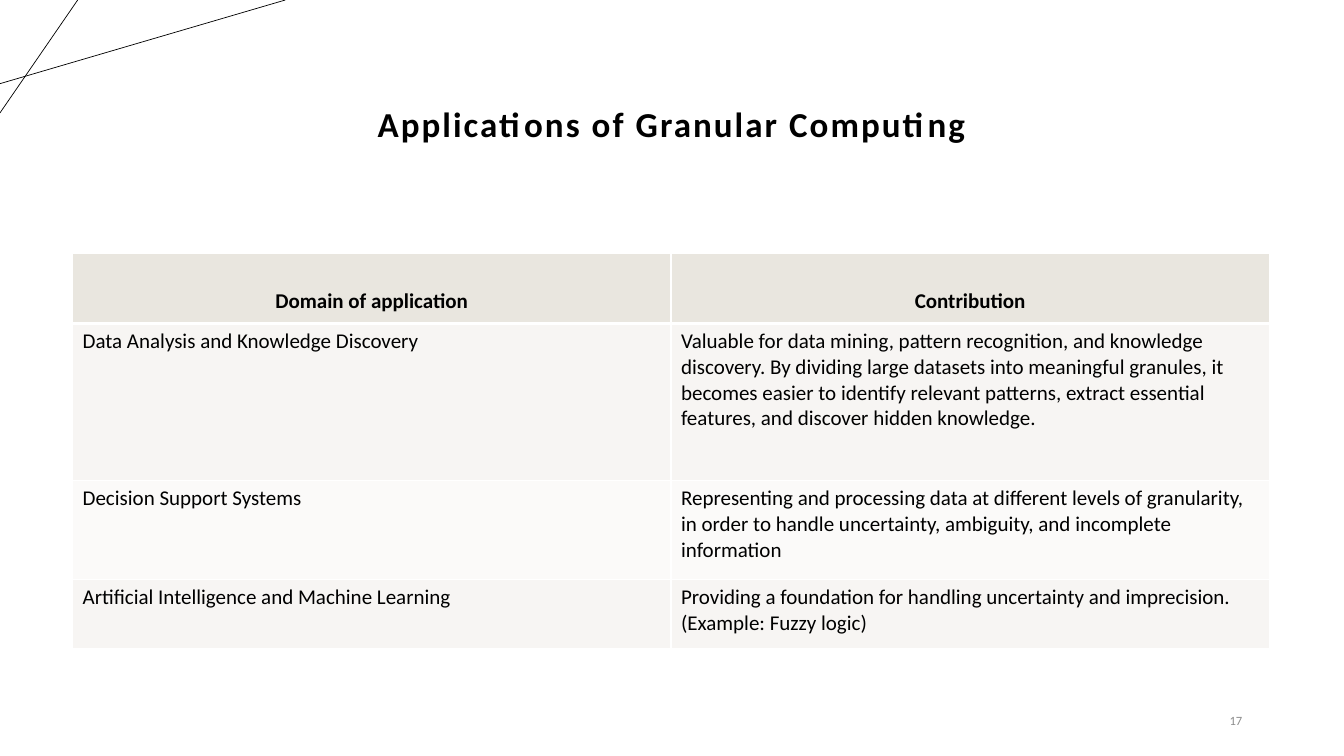
from lxml.etree import SubElement
from pptx import Presentation
from pptx.dml.color import RGBColor
from pptx.enum.shapes import MSO_CONNECTOR as Connector
from pptx.enum.text import MSO_ANCHOR as Anchor, PP_ALIGN as Align
from pptx.oxml.ns import qn
from pptx.util import Inches, Pt

COLORS = {"ink": "000000", "page_number": "8C8C8C", "border": "FFFFFF",
          "header": "E9E6DF", "odd_row": "F7F5F3", "even_row": "FBFAF9"}
APPLICATIONS = [
    ("Domain of application", "Contribution"),
    ("Data Analysis and Knowledge Discovery",
     "Valuable for data mining, pattern recognition, and knowledge discovery. "
     "By dividing large datasets into meaningful granules, it becomes easier to "
     "identify relevant patterns, extract essential features, and discover "
     "hidden knowledge. "),
    ("Decision Support Systems",
     "Representing and processing data at different levels of granularity, in "
     "order to handle uncertainty, ambiguity, and incomplete information"),
    ("Artificial Intelligence and Machine Learning",
     "Providing a foundation for handling uncertainty and imprecision. "
     "(Example: Fuzzy logic)"),
]
ROW_HEIGHTS = [9.33, 20.8, 13.07, 9.07]


class SlideBuilder:
    """Draw styled elements on one slide, with lengths in percent of its size."""

    font_name = "Calibri"

    def __init__(self, presentation):
        self.width = presentation.slide_width
        self.height = presentation.slide_height
        self.slide = presentation.slides.add_slide(presentation.slide_layouts[6])

    def x(self, percent):
        return round(self.width * percent / 100)

    def y(self, percent):
        return round(self.height * percent / 100)

    def color(self, name):
        return RGBColor.from_string(COLORS[name])

    def line(self, x1, y1, x2, y2):
        connector = self.slide.shapes.add_connector(
            Connector.STRAIGHT, self.x(x1), self.y(y1), self.x(x2), self.y(y2))
        connector.line.color.rgb = self.color("ink")
        connector.line.width = Pt(0.5)
        SubElement(connector._element.spPr, qn("a:effectLst"))

    def set_text(self, frame, text, size, color="ink", bold=False,
                 align=Align.LEFT, line_spacing=1.0, tracking=0):
        paragraph = frame.paragraphs[0]
        paragraph.alignment = align
        paragraph.line_spacing = line_spacing
        font = paragraph.font
        font.name, font.size, font.bold = self.font_name, Pt(size), bold
        font.color.rgb = self.color(color)
        run = paragraph.add_run()
        run.text = text
        if tracking:
            run._r.get_or_add_rPr().set("spc", str(round(tracking * 100)))

    def text(self, left, top, width, height, text, size, **style):
        box = self.slide.shapes.add_textbox(
            self.x(left), self.y(top), self.x(width), self.y(height))
        frame = box.text_frame
        frame.word_wrap = True
        frame.vertical_anchor = Anchor.MIDDLE
        self.set_text(frame, text, size, **style)

    def borders(self, cell, bottom):
        properties = cell._tc.get_or_add_tcPr()
        widths = {"a:lnL": 1, "a:lnR": 1, "a:lnT": 1, "a:lnB": bottom}
        for position, (side, width) in enumerate(widths.items()):
            border = properties.makeelement(qn(side), {"w": str(Pt(width))})
            fill = SubElement(border, qn("a:solidFill"))
            SubElement(fill, qn("a:srgbClr"), val=COLORS["border"])
            properties.insert(position, border)

    def table(self, left, top, width, row_heights, rows, size):
        table = self.slide.shapes.add_table(
            len(rows), len(rows[0]), self.x(left), self.y(top),
            self.x(width), self.y(sum(row_heights))).table
        table.horz_banding = False
        for index, (height, texts) in enumerate(zip(row_heights, rows)):
            table.rows[index].height = self.y(height)
            header = index == 0
            fill = "header" if header else "odd_row" if index % 2 else "even_row"
            style = (dict(bold=True, align=Align.CENTER, line_spacing=2.0)
                     if header else {})
            for cell, text in zip(table.rows[index].cells, texts):
                cell.fill.solid()
                cell.fill.fore_color.rgb = self.color(fill)
                cell.vertical_anchor = Anchor.MIDDLE if header else Anchor.TOP
                self.set_text(cell.text_frame, text, size, **style)
                self.borders(cell, bottom=3 if header else 1)


def main():
    presentation = Presentation()
    presentation.slide_width = Inches(13.33)
    presentation.slide_height = Inches(7.5)
    builder = SlideBuilder(presentation)
    builder.line(0, 11.07, 21.23, 0)
    builder.line(5.78, 0, 0, 14.93)
    builder.text(18.9, 11.47, 62.19, 10.4, "Applications of Granular Computing", 25,
                 bold=True, align=Align.CENTER, line_spacing=0.9, tracking=1.5)
    builder.table(5.4, 33.47, 89.05, ROW_HEIGHTS, APPLICATIONS, 15)
    builder.text(70.67, 92.67, 22.5, 5.33, "17", 9,
                 color="page_number", align=Align.RIGHT)
    presentation.save("out.pptx")


if __name__ == "__main__":
    main()
